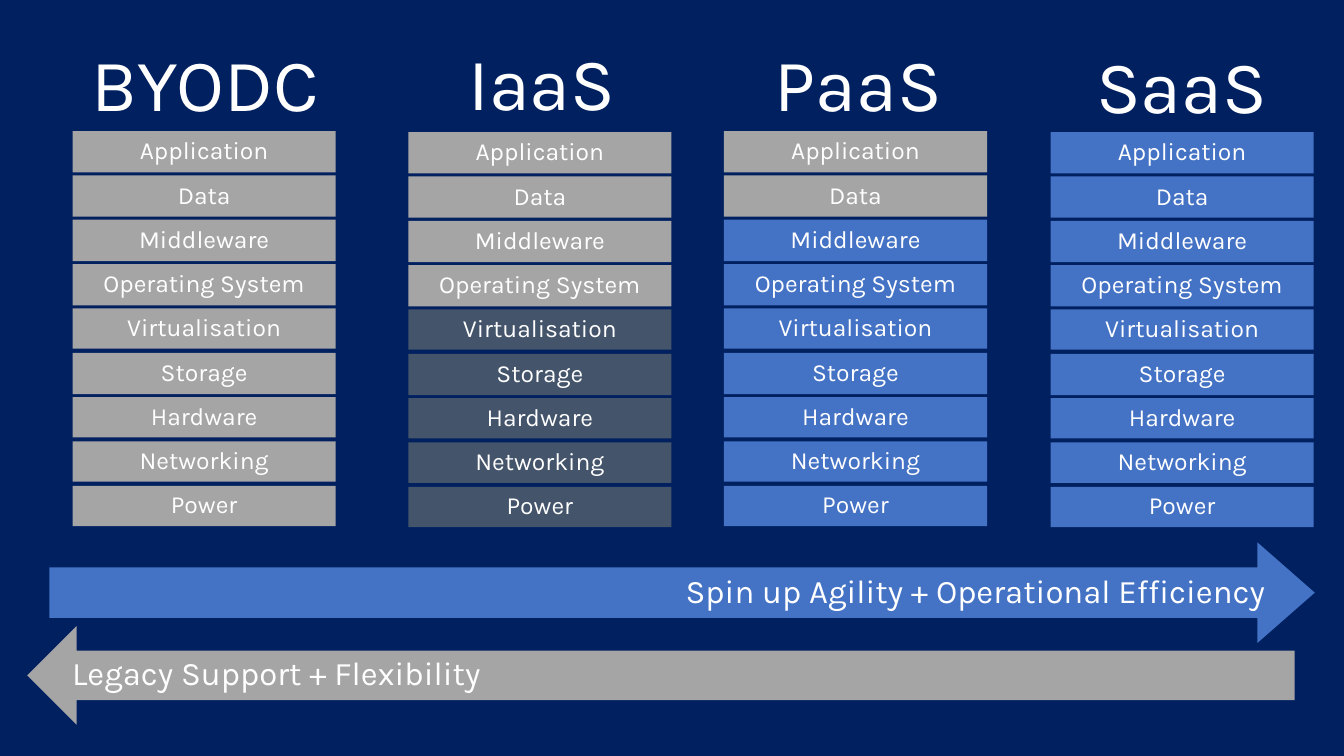
from dataclasses import dataclass

from pptx import Presentation
from pptx.dml.color import RGBColor
from pptx.enum.shapes import MSO_SHAPE
from pptx.enum.text import MSO_ANCHOR, MSO_AUTO_SIZE, PP_ALIGN
from pptx.shapes.autoshape import Shape
from pptx.util import Inches, Pt

RECTANGLE = MSO_SHAPE.RECTANGLE
RIGHT_ARROW, LEFT_ARROW = MSO_SHAPE.RIGHT_ARROW, MSO_SHAPE.LEFT_ARROW
MIDDLE, TOP = MSO_ANCHOR.MIDDLE, MSO_ANCHOR.TOP
LEFT, CENTER, RIGHT = PP_ALIGN.LEFT, PP_ALIGN.CENTER, PP_ALIGN.RIGHT

FONT = "Karla"
NAVY, WHITE = "002060", "FFFFFF"
GREY, SLATE, BLUE = "A5A5A5", "44546A", "4472C4"

# Grid of the layer stacks, in inches
ROW_PITCH, LAYER_WIDTH = 0.44, 2.61
HEADING_HEIGHT = 1.12

# Layers from top to bottom, with their heights
LAYERS = {
    "Application": 0.41, "Data": 0.41, "Middleware": 0.41, "Operating System": 0.41,
    "Virtualisation": 0.4, "Storage": 0.41, "Hardware": 0.4, "Networking": 0.4, "Power": 0.4,
}


@dataclass
class Area:
    left: float
    top: float
    width: float
    height: float

    def lengths(self) -> list[int]:
        return [Inches(n) for n in (self.left, self.top, self.width, self.height)]


@dataclass
class Stack:
    heading: str
    heading_left: float
    heading_top: float
    heading_width: float
    left: float
    top: float
    self_managed: int  # layers run by the customer, counted from the top
    provider_colour: str


@dataclass
class Arrow:
    text: str
    kind: MSO_SHAPE
    area: Area
    head: float
    colour: str
    align: PP_ALIGN


STACKS = [
    Stack("BYODC", 0.44, 0.31, 3.19, 0.72, 1.3, len(LAYERS), GREY),
    Stack("IaaS", 3.99, 0.3, 2.77, 4.05, 1.31, 4, SLATE),
    Stack("PaaS", 7.13, 0.31, 2.77, 7.18, 1.3, 2, BLUE),
    Stack("SaaS", 10.31, 0.33, 2.82, 10.42, 1.31, 0, BLUE),
]

ARROWS = [
    Arrow("Spin up Agility + Operational Efficiency", RIGHT_ARROW,
          Area(0.49, 5.38, 12.55, 1), 0.57, BLUE, RIGHT),
    Arrow("Legacy Support + Flexibility", LEFT_ARROW,
          Area(0.27, 6.21, 12.57, 0.98), 0.5, GREY, LEFT),
]


def colour(value: str) -> RGBColor:
    return RGBColor.from_string(value)


def write(box: Shape, text: str, size: float, align: PP_ALIGN, anchor: MSO_ANCHOR) -> None:
    frame = box.text_frame
    frame.text = text
    frame.word_wrap = True
    frame.vertical_anchor = anchor
    frame.margin_left = frame.margin_right = Inches(0.2)
    frame.margin_top = frame.margin_bottom = Inches(0.16)
    para = frame.paragraphs[0]
    para.alignment = align
    para.line_spacing = 0.9
    font = para.runs[0].font
    font.name, font.size = FONT, Pt(size)
    font.color.rgb = colour(WHITE)


def add_block(shapes, kind: MSO_SHAPE, area: Area, fill: str) -> Shape:
    block = shapes.add_shape(kind, *area.lengths())
    block.shadow.inherit = False
    block.fill.solid()
    block.fill.fore_color.rgb = colour(fill)
    block.line.fill.background()
    return block


def add_layers(page, stack: Stack) -> None:
    group = page.shapes.add_group_shape()
    for row, (layer, height) in enumerate(LAYERS.items()):
        area = Area(stack.left, stack.top + row * ROW_PITCH, LAYER_WIDTH, height)
        fill = GREY if row < stack.self_managed else stack.provider_colour
        block = add_block(group.shapes, RECTANGLE, area, fill)
        write(block, layer, 17.6, CENTER, MIDDLE)


def add_heading(page, stack: Stack) -> None:
    area = Area(stack.heading_left, stack.heading_top, stack.heading_width, HEADING_HEIGHT)
    box = page.shapes.add_textbox(*area.lengths())
    write(box, stack.heading, 52.9, CENTER, TOP)
    box.text_frame.paragraphs[0].space_after = Pt(5.9)
    box.text_frame.auto_size = MSO_AUTO_SIZE.SHAPE_TO_FIT_TEXT


def add_arrow(page, arrow: Arrow) -> None:
    block = add_block(page.shapes, arrow.kind, arrow.area, arrow.colour)
    block.adjustments[0] = 0.5
    block.adjustments[1] = arrow.head
    write(block, arrow.text, 23.5, arrow.align, MIDDLE)


def main() -> None:
    deck = Presentation()
    deck.slide_width, deck.slide_height = Inches(13.33), Inches(7.5)
    page = deck.slides.add_slide(deck.slide_layouts[6])
    page.background.fill.solid()
    page.background.fill.fore_color.rgb = colour(NAVY)

    # Service models: layer stacks, then their headings
    for stack in STACKS:
        add_layers(page, stack)
    for stack in STACKS:
        add_heading(page, stack)

    # Trade-off arrows
    for arrow in ARROWS:
        add_arrow(page, arrow)

    deck.save("out.pptx")


if __name__ == "__main__":
    main()
